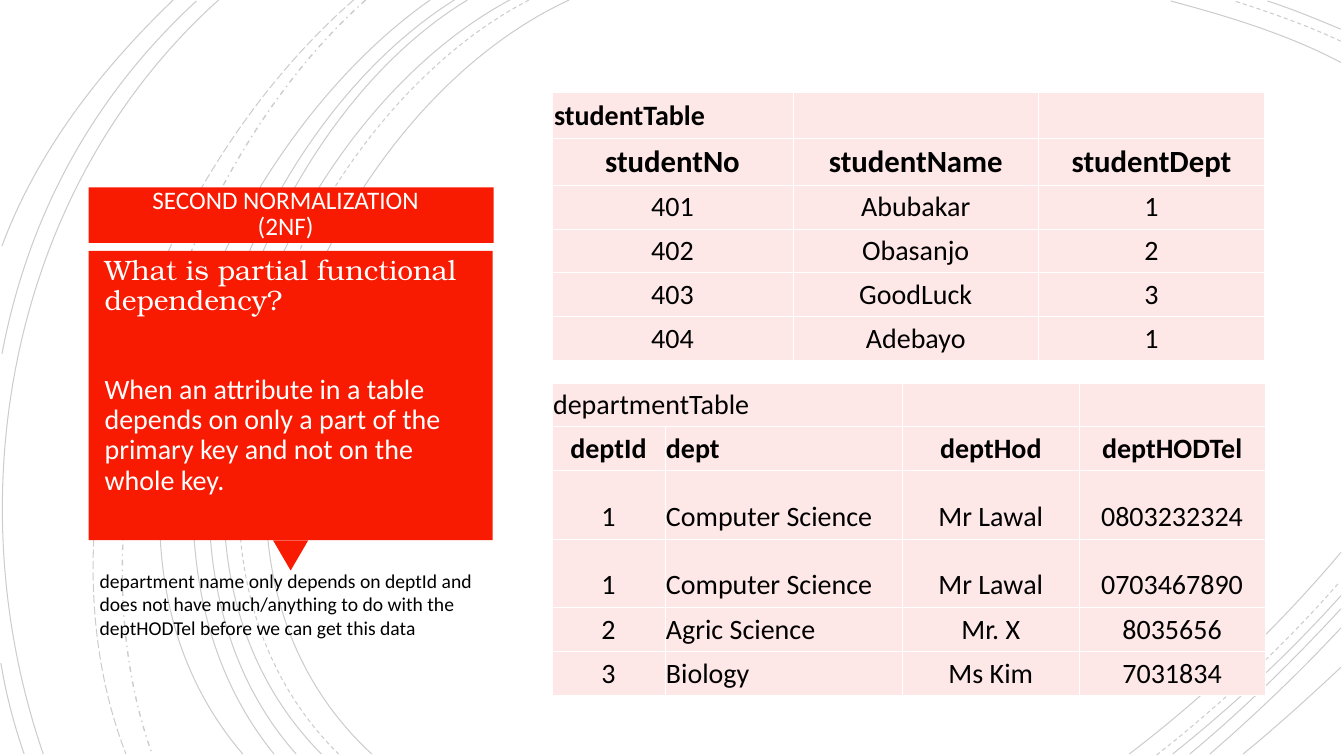
from lxml.etree import SubElement
from pptx import Presentation
from pptx.dml.color import RGBColor
from pptx.enum.dml import MSO_LINE
from pptx.enum.shapes import MSO_SHAPE
from pptx.enum.text import MSO_ANCHOR, MSO_AUTO_SIZE, PP_ALIGN
from pptx.oxml.ns import qn
from pptx.util import Inches, Pt

RED, PINK, WHITE, BLACK = "F81B02", "FEE7E7", "FFFFFF", "000000"
SOLID, DASH, DASH_DOT, LONG = (MSO_LINE.SOLID, MSO_LINE.DASH,
                               MSO_LINE.DASH_DOT, MSO_LINE.LONG_DASH)

ARCS = [
    (SOLID, [(5.65, 0), (3.15, 1.15), (1.43, 5.4), (3.69, 7.48)]),
    (SOLID, [(13.31, 0.62), (12.78, 0.34), (12.18, 0.16), (11.62, 0.01)]),
    (SOLID, [(11.21, 7.48), (11.97, 6.9), (12.69, 6.22), (13.31, 5.48)]),
    (DASH, [(5.25, 0), (2.85, 1.25), (1.23, 5.37), (3.36, 7.48)]),
    (DASH, [(13.31, 0.41), (12.97, 0.25), (12.6, 0.12), (12.25, 0.01)]),
    (DASH, [(11.48, 7.49), (12.13, 6.98), (12.75, 6.4), (13.3, 5.77)]),
    (SOLID, [(5.06, 0), (2.7, 1.27), (1.1, 5.37), (3.19, 7.48)]),
    (SOLID, [(13.31, 0.29), (13.07, 0.19), (12.83, 0.09), (12.58, 0.01)]),
    (SOLID, [(11.64, 7.48), (12.23, 7.01), (12.8, 6.48), (13.31, 5.91)]),
    (SOLID, [(4.64, 0), (2.44, 1.33), (1.1, 5.41), (2.94, 7.48)]),
    (SOLID, [(11.81, 7.48), (12.34, 7.04), (12.84, 6.55), (13.31, 6.04)]),
    (SOLID, [(4.51, 0), (2.31, 1.38), (0.97, 5.33), (2.72, 7.48)]),
    (SOLID, [(12.01, 7.48), (12.46, 7.09), (12.9, 6.67), (13.31, 6.23)]),
    (SOLID, [(4.27, 0), (2.17, 1.47), (0.53, 5.29), (2.41, 7.48)]),
    (SOLID, [(12.34, 7.48), (12.67, 7.21), (12.99, 6.92), (13.31, 6.62)]),
    (DASH_DOT, [(3.63, 0), (1.76, 1.66), (0.65, 5.09), (1.51, 7.48)]),
    (LONG, [(3.51, 0), (1.57, 1.69), (0.29, 4.99), (1.25, 7.48)]),
    (SOLID, [(2.17, 0), (0.11, 1.85), (-0.46, 4.9), (0.43, 7.48)]),
    (SOLID, [(1.95, 0.01), (0.92, 0.96), (0.28, 2.14), (0.02, 3.51)]),
    (SOLID, [(0.01, 6.58), (0.06, 6.89), (0.14, 7.19), (0.24, 7.48)]),
    (SOLID, [(1.72, 0), (1, 0.69), (0.37, 1.5), (0.02, 2.44)]),
]

CALLOUT = [
    (MSO_SHAPE.RECTANGLE, (0.88, 1.86, 4.02, 0.55), 0),
    (MSO_SHAPE.ISOSCELES_TRIANGLE, (2.71, 5.36, 0.35, 0.3), 180),
    (MSO_SHAPE.RECTANGLE, (0.88, 2.49, 4.01, 2.87), 0),
]

HEADING = "SECOND NORMALIZATION (2NF)"
QUESTION = "What is partial functional dependency?"
ANSWER = ("When an attribute in a table depends on only a part of the "
          "primary key and not on the whole key.")
REMARK = ("department name only depends on deptId and does not have much/anything "
          "to do with the deptHODTel before we can get this data")

STUDENTS = {
    "box": (5.48, 0.92, 7.07, 2.59),
    "widths": [2.39, 2.44, 2.24],
    "heights": [0.45] + [0.43] * 5,
    "rows": [
        ["studentTable", "", ""],
        ["studentNo", "studentName", "studentDept"],
        ["401", "Abubakar", "1"],
        ["402", "Obasanjo", "2"],
        ["403", "GoodLuck", "3"],
        ["404", "Adebayo", "1"],
    ],
    "bold_rows": (0, 1), "header_size": 22, "left_columns": (),
    "title_span": 1, "inset": 0.02, "anchor": MSO_ANCHOR.MIDDLE,
}
DEPARTMENTS = {
    "box": (5.48, 3.8, 7.07, 2.8),
    "widths": [1.12, 2.36, 1.75, 1.85],
    "heights": [0.41, 0.34, 0.68, 0.68, 0.34, 0.34],
    "rows": [
        ["departmentTable", "", "", ""],
        ["deptId", "dept", "deptHod", "deptHODTel"],
        ["1", "Computer Science", "Mr Lawal", "0803232324"],
        ["1", "Computer Science", "Mr Lawal", "0703467890"],
        ["2", "Agric Science", "Mr. X", "8035656"],
        ["3", "Biology", "Ms Kim", "7031834"],
    ],
    "bold_rows": (1,), "header_size": 20, "left_columns": (1,),
    "title_span": 2, "inset": 0.01, "anchor": MSO_ANCHOR.BOTTOM,
}


def color(value):
    return RGBColor.from_string(value)


def lengths(values):
    return [Inches(value) for value in values]


def write(paragraph, text, size, ink, font="Calibri", bold=False):
    run = paragraph.add_run()
    run.text = text
    run.font.size, run.font.name, run.font.bold = Pt(size), font, bold
    run.font.color.rgb = color(ink)


def draw_arc(slide, dash, points):
    start, *rest = [lengths(point) for point in points]
    builder = slide.shapes.build_freeform(*start)
    builder.add_line_segments(rest, close=False)
    arc = builder.convert_to_shape()
    segments = list(arc.element.iter(qn("a:lnTo")))
    curve = SubElement(segments[0].getparent(), qn("a:cubicBezTo"))
    for segment in segments:
        curve.append(segment[0])
        segment.getparent().remove(segment)
    arc.shadow.inherit = False
    arc.fill.background()
    arc.line.color.rgb = color(BLACK)
    arc.line.width = Pt(1 if dash == DASH_DOT else 0.75)
    arc.line.dash_style = dash
    ink = next(arc.line._ln.iter(qn("a:srgbClr")))
    SubElement(ink, qn("a:alpha"), val="20000")


def draw_callout(slide):
    for kind, box, turn in CALLOUT:
        part = slide.shapes.add_shape(kind, *lengths(box))
        part.rotation = turn
        part.shadow.inherit = False
        part.fill.solid()
        part.fill.fore_color.rgb = color(RED)
        part.line.fill.background()


def place_heading(slide):
    title = slide.shapes.title
    title.left, title.top, title.width, title.height = lengths((0.96, 1.86, 3.75, 0.54))
    title.element.getparent().append(title.element)
    frame = title.text_frame
    frame.word_wrap, frame.auto_size = True, MSO_AUTO_SIZE.NONE
    frame.vertical_anchor = MSO_ANCHOR.MIDDLE
    frame.margin_left = frame.margin_right = Inches(0.25)
    frame.margin_top = frame.margin_bottom = Inches(0.25)
    paragraph = frame.paragraphs[0]
    paragraph.alignment, paragraph.line_spacing = PP_ALIGN.CENTER, 0.85
    write(paragraph, HEADING, 18, "FFFEFF")


def add_frame(slide, box):
    frame = slide.shapes.add_textbox(*lengths(box)).text_frame
    frame.word_wrap = True
    return frame


def fill_cell(cell, inset, anchor):
    cell.margin_left = cell.margin_right = Inches(inset)
    cell.vertical_anchor = anchor
    properties = cell._tc.get_or_add_tcPr()
    for side in ("a:lnL", "a:lnR", "a:lnT", "a:lnB"):
        border = SubElement(properties, qn(side), w=str(Pt(0.45)))
        SubElement(SubElement(border, qn("a:solidFill")), qn("a:srgbClr"), val=WHITE)
    cell.fill.solid()
    cell.fill.fore_color.rgb = color(PINK)


def draw_table(slide, data):
    rows, widths = data["rows"], data["widths"]
    table = slide.shapes.add_table(len(rows), len(widths), *lengths(data["box"])).table
    table.first_row = table.horz_banding = False
    for column, width in zip(table.columns, widths):
        column.width = Inches(width)
    for row, height in zip(table.rows, data["heights"]):
        row.height = Inches(height)
    if data["title_span"] > 1:
        table.cell(0, 0).merge(table.cell(0, data["title_span"] - 1))
    for r, texts in enumerate(rows):
        for c, text in enumerate(texts):
            cell = table.cell(r, c)
            fill_cell(cell, data["inset"], data["anchor"])
            if text:
                paragraph = cell.text_frame.paragraphs[0]
                left = r == 0 or c in data["left_columns"]
                paragraph.alignment = PP_ALIGN.LEFT if left else PP_ALIGN.CENTER
                size = data["header_size"] if r == 1 else 20
                write(paragraph, text, size, BLACK, bold=r in data["bold_rows"])


def main():
    deck = Presentation()
    deck.slide_width, deck.slide_height = lengths((13.34, 7.5))
    slide = deck.slides.add_slide(deck.slide_layouts[5])
    for dash, points in ARCS:
        draw_arc(slide, dash, points)
    draw_callout(slide)
    place_heading(slide)

    definition = add_frame(slide, (0.94, 2.49, 3.77, 2.61))
    question, answer = definition.paragraphs[0], definition.add_paragraph()
    question.line_spacing = answer.line_spacing = 0.9
    answer.space_before = Pt(42)
    write(question, QUESTION, 20, WHITE, "TeX Gyre Bonum")
    write(answer, ANSWER, 20, WHITE)

    for data in (STUDENTS, DEPARTMENTS):
        draw_table(slide, data)
    remark = add_frame(slide, (0.89, 5.59, 4.11, 1.04))
    write(remark.paragraphs[0], REMARK, 14, BLACK)
    deck.save("out.pptx")


if __name__ == "__main__":
    main()
